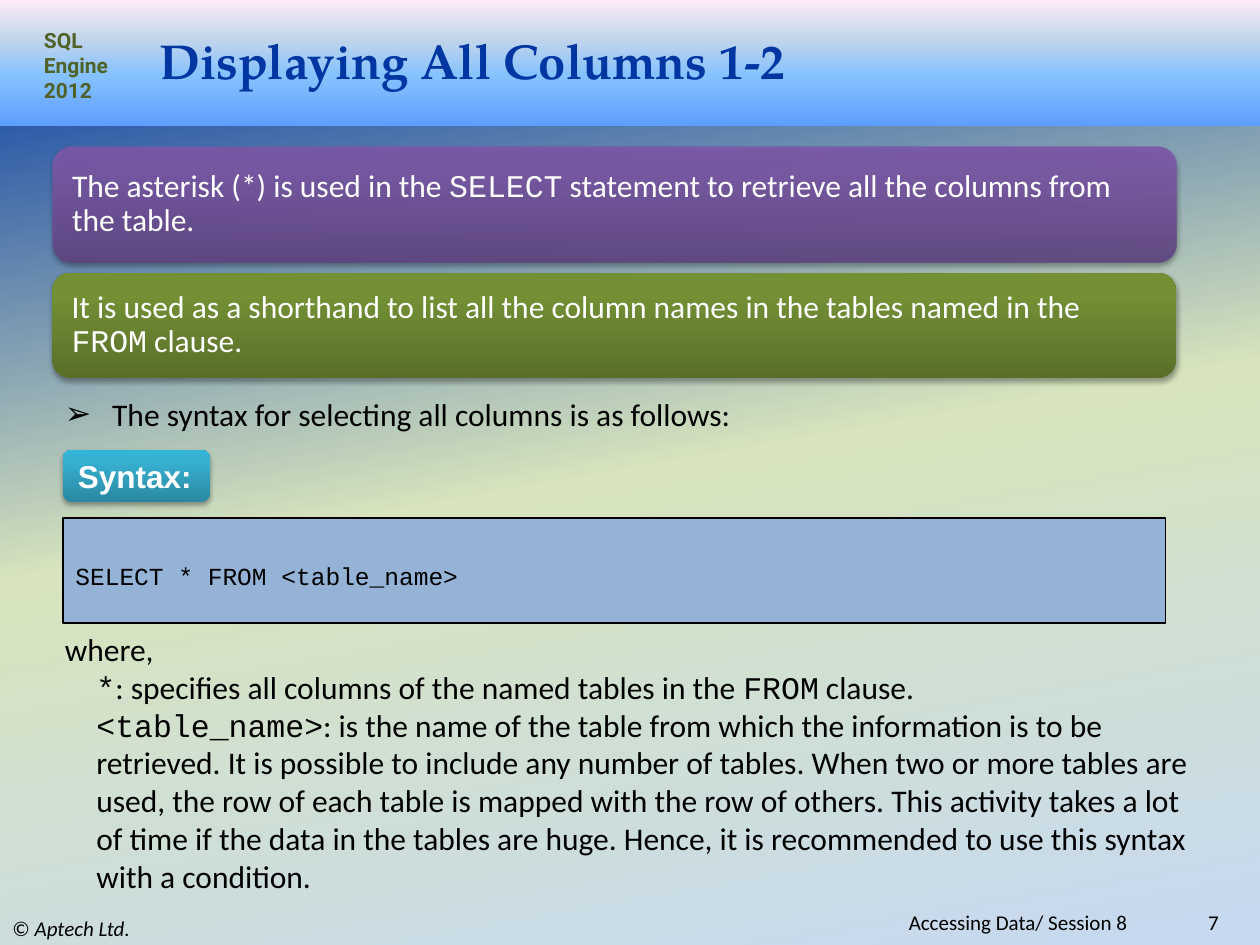
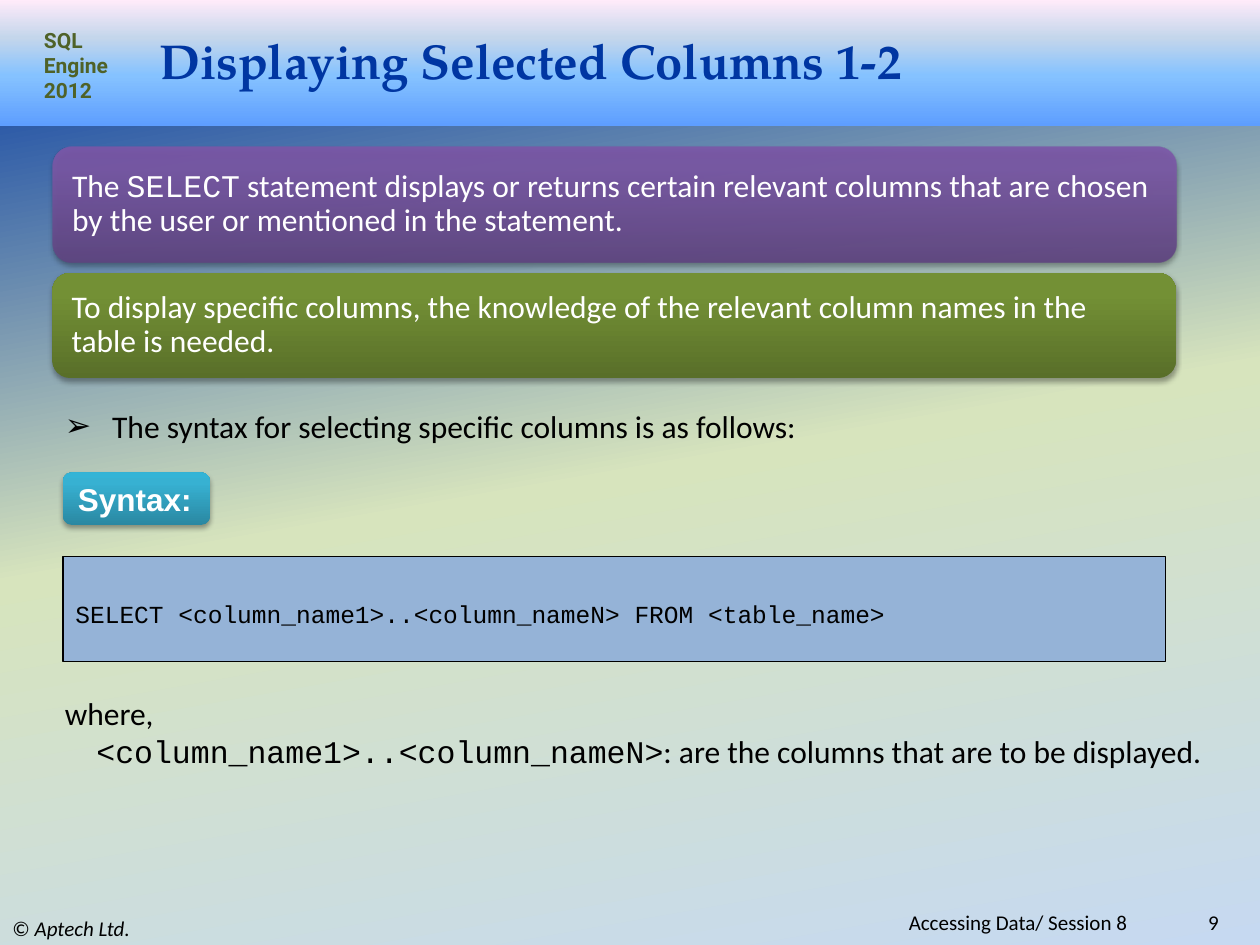
from dataclasses import dataclass, field

from lxml.etree import SubElement
from pptx import Presentation
from pptx.dml.color import RGBColor
from pptx.enum.shapes import MSO_SHAPE
from pptx.enum.text import MSO_ANCHOR, PP_ALIGN
from pptx.oxml.ns import qn
from pptx.util import Pt

# Content: text between backticks takes the alternate format of its part
SERIES = "SQL Engine 2012"
COPYRIGHT = "© `Aptech Ltd.`"
SESSION = "Accessing Data/ Session 8 "
SYNTAX_LABEL = "Syntax:"

SLIDES = [
    {
        "title": "Displaying All Columns 1-2",
        "page": "7",
        "cards": [
            "The asterisk (*) is used in the `SELECT` statement to retrieve all "
            "the columns from the table.",
            "It is used as a shorthand to list all the column names in the tables "
            "named in the `FROM` clause.",
        ],
        "lead": "The syntax for selecting all columns is as follows:",
        "code": "SELECT * FROM <table_name>",
        "terms": [
            "`*`: specifies all columns of the named tables in the `FROM` clause.",
            "`<table_name>`: is the name of the table from which the information "
            "is to be retrieved. It is possible to include any number of tables. "
            "When two or more tables are used, the row of each table is mapped "
            "with the row of others. This activity takes a lot of time if the data "
            "in the tables are huge. Hence, it is recommended to use this syntax "
            "with a condition.",
        ],
        "tops": {"lead": 222, "label": 257, "code": 296, "terms": 356.5},
    },
    {
        "title": "Displaying Selected Columns 1-2",
        "page": "9",
        "cards": [
            "The `SELECT` statement displays or returns certain relevant columns "
            "that are chosen by the user or mentioned in the statement.",
            "To display specific columns, the knowledge of the relevant column "
            "names in the table is needed.",
        ],
        "lead": "The syntax for selecting specific columns is as follows:",
        "code": "SELECT <column_name1>..<column_nameN> FROM <table_name>",
        "terms": [
            "`<column_name1>..<column_nameN>`: are the columns that are to be "
            "displayed.",
        ],
        "tops": {"lead": 229, "label": 270, "code": 318, "terms": 393},
    },
]


def text_format(name, size, color, **extra):
    return {"name": name, "size": Pt(size), "color": color, **extra}


# Theme: gradients are (position %, colour) stops
@dataclass
class Theme:
    background: tuple = ((0, "0036A2"), (50, "D7E4BD"), (100, "C6D9F1"))
    band: tuple = ((0, "5E9EFF"), (40, "85C2FF"), (70, "C4D6EB"), (100, "FFEBFA"))
    cards: tuple = (
        (((0, "5F4480"), (80, "7B58A6"), (100, "7C57A8")), 90),
        (((0, "596F29"), (80, "739035"), (100, "749334")), 100),
    )
    label: tuple = ((0, "2A88A2"), (80, "37B1D2"), (100, "34B4D6"))
    code_fill: str = "95B3D7"
    ink: str = "000000"
    title_outline: str = "C00000"
    formats: dict = field(default_factory=lambda: {
        "title": text_format("TeX Gyre Pagella", 28, "0036A2", bold=True),
        "series": text_format("Roboto", 12, "4F6228", bold=True),
        "footer": text_format("Calibri", 12, "000000"),
        "owner": text_format("Calibri", 12, "000000", italic=True),
        "card": text_format("Calibri", 18, "FFFFFF"),
        "card code": text_format("Courier New", 18, "FFFFFF"),
        "body": text_format("Calibri", 18, "000000"),
        "body code": text_format("Courier New", 18, "000000"),
        "label": text_format("Arial", 18, "FFFFFF", bold=True),
        "code": text_format("Courier New", 14, "000000"),
    })


THEME = Theme()
WIDTH, HEIGHT, BAND_HEIGHT = 720, 540, 72
TEXT_LEFT, SYNTAX_LEFT = 30, 36
CARD_TOP, CARD_GAP, CARD_WIDTH, CARD_HEIGHTS = 84, 6, 642, (66, 60)
FOOTER_TOP = 520.5


# Fills and effects
def color_element(parent, rgb, alpha=100):
    color = SubElement(parent, qn("a:srgbClr"), val=rgb)
    if alpha < 100:
        SubElement(color, qn("a:alpha"), val=str(alpha * 1000))


def set_gradient(fill, owner, stops, angle=270, alpha=100):
    fill.gradient()
    gradient = owner.find(".//" + qn("a:gradFill"))
    stop_list = gradient.find(qn("a:gsLst"))
    for old_stop in list(stop_list):
        stop_list.remove(old_stop)
    for position, rgb in stops:
        stop = SubElement(stop_list, qn("a:gs"), pos=str(position * 1000))
        color_element(stop, rgb, alpha)
    gradient.find(qn("a:lin")).set("ang", str(angle * 60000))


def add_soft_shadow(shape):
    effects = shape._element.spPr.find(qn("a:effectLst"))
    shadow = SubElement(effects, qn("a:outerShdw"), blurRad=str(Pt(3.1)),
                        dist=str(Pt(1.8)), dir=str(90 * 60000), rotWithShape="0")
    color_element(shadow, THEME.ink, 35)


# Shapes and text
def add_panel(slide, kind, box, stops=None, alpha=100):
    panel = slide.shapes.add_shape(kind, *map(Pt, box))
    panel.shadow.inherit = False
    panel.line.fill.background()
    if stops:
        set_gradient(panel.fill, panel._element.spPr, stops, alpha=alpha)
    return panel


def write(paragraph, text, main, alternate=None):
    for index, piece in enumerate(text.split("`")):
        if not piece:
            continue
        run = paragraph.add_run()
        run.text = piece
        for key, value in THEME.formats[alternate if index % 2 else main].items():
            if key == "color":
                run.font.color.rgb = RGBColor.from_string(value)
            else:
                setattr(run.font, key, value)


def fill_frame(shape, texts, main, alternate=None, anchor=MSO_ANCHOR.MIDDLE,
               align=PP_ALIGN.LEFT, **frame_values):
    frame = shape.text_frame
    values = {"word_wrap": True, "vertical_anchor": anchor, **frame_values}
    for key, value in values.items():
        setattr(frame, key, value)
    for index, text in enumerate(texts):
        paragraph = frame.add_paragraph() if index else frame.paragraphs[0]
        paragraph.alignment = align
        write(paragraph, text, main, alternate)
    return frame.paragraphs


def add_text(slide, box, texts, main, alternate=None, **options):
    text_box = slide.shapes.add_textbox(*map(Pt, box))
    return fill_frame(text_box, texts, main, alternate, **options)


def set_indent(paragraph, left, first=0, bullet=None):
    properties = paragraph._p.get_or_add_pPr()
    properties.set("marL", str(Pt(left)))
    properties.set("indent", str(Pt(first)))
    if bullet:
        SubElement(properties, qn("a:buFont"), typeface="Arial")
        SubElement(properties, qn("a:buChar"), char=bullet)


# Parts that every slide shares
def add_frame(slide, title, page):
    set_gradient(slide.background.fill, slide._element, THEME.background, angle=80)
    add_panel(slide, MSO_SHAPE.RECTANGLE, (0, 0, WIDTH, BAND_HEIGHT), THEME.band)
    add_text(slide, (0, FOOTER_TOP, 240, 19.5), [COPYRIGHT], "footer", "owner")
    add_text(slide, (18, 12, 54, 51), [SERIES], "series", anchor=MSO_ANCHOR.TOP)
    for left, width, text in ((642, 61.5, page), (180, 474, SESSION)):
        add_text(slide, (left, FOOTER_TOP, width, 13), [text], "footer",
                 align=PP_ALIGN.RIGHT)
    heading = add_text(slide, (84, 18, 600, 32.5), [title], "title")[0]
    properties = heading.runs[0]._r.get_or_add_rPr()
    outline = SubElement(properties, qn("a:ln"), w=str(Pt(0.07)))
    color_element(SubElement(outline, qn("a:solidFill")), THEME.title_outline, 55)
    properties.insert(0, outline)


def add_cards(slide, texts):
    top = CARD_TOP
    for text, height, (stops, alpha) in zip(texts, CARD_HEIGHTS, THEME.cards):
        card = add_panel(slide, MSO_SHAPE.ROUNDED_RECTANGLE,
                         (TEXT_LEFT, top, CARD_WIDTH, height), stops, alpha)
        add_soft_shadow(card)
        paragraph = fill_frame(card, [text], "card", "card code",
                               margin_left=Pt(8), margin_right=Pt(9))[0]
        paragraph.line_spacing = 0.9
        top += height + CARD_GAP


def add_syntax(slide, lead, code, terms, tops):
    lead_line = add_text(slide, (TEXT_LEFT, tops["lead"], 660, 29), [lead], "body",
                         anchor=MSO_ANCHOR.TOP)[0]
    set_indent(lead_line, 27, -27, "➢")

    label = add_panel(slide, MSO_SHAPE.ROUNDED_RECTANGLE,
                      (SYNTAX_LEFT, tops["label"], 84, 30), THEME.label)
    add_soft_shadow(label)
    fill_frame(label, [SYNTAX_LABEL], "label")

    code_box = add_panel(slide, MSO_SHAPE.RECTANGLE,
                         (SYNTAX_LEFT, tops["code"], 630, 60))
    code_box.fill.solid()
    code_box.fill.fore_color.rgb = RGBColor.from_string(THEME.code_fill)
    code_box.line.color.rgb = RGBColor.from_string(THEME.ink)
    code_box.line.width = Pt(0.75)
    fill_frame(code_box, [code], "code", margin_top=Pt(9))

    lines = add_text(slide, (TEXT_LEFT, tops["terms"], 666, 160 if len(terms) > 1 else 51),
                     ["where,", *terms], "body", "body code", anchor=MSO_ANCHOR.TOP)
    for term in lines[1:]:
        set_indent(term, 18)


def main():
    deck = Presentation()
    deck.slide_width, deck.slide_height = Pt(WIDTH), Pt(HEIGHT)
    for content in SLIDES:
        slide = deck.slides.add_slide(deck.slide_layouts[6])
        add_frame(slide, content["title"], content["page"])
        add_cards(slide, content["cards"])
        add_syntax(slide, *(content[key] for key in ("lead", "code", "terms", "tops")))
    deck.save("out.pptx")


if __name__ == "__main__":
    main()
